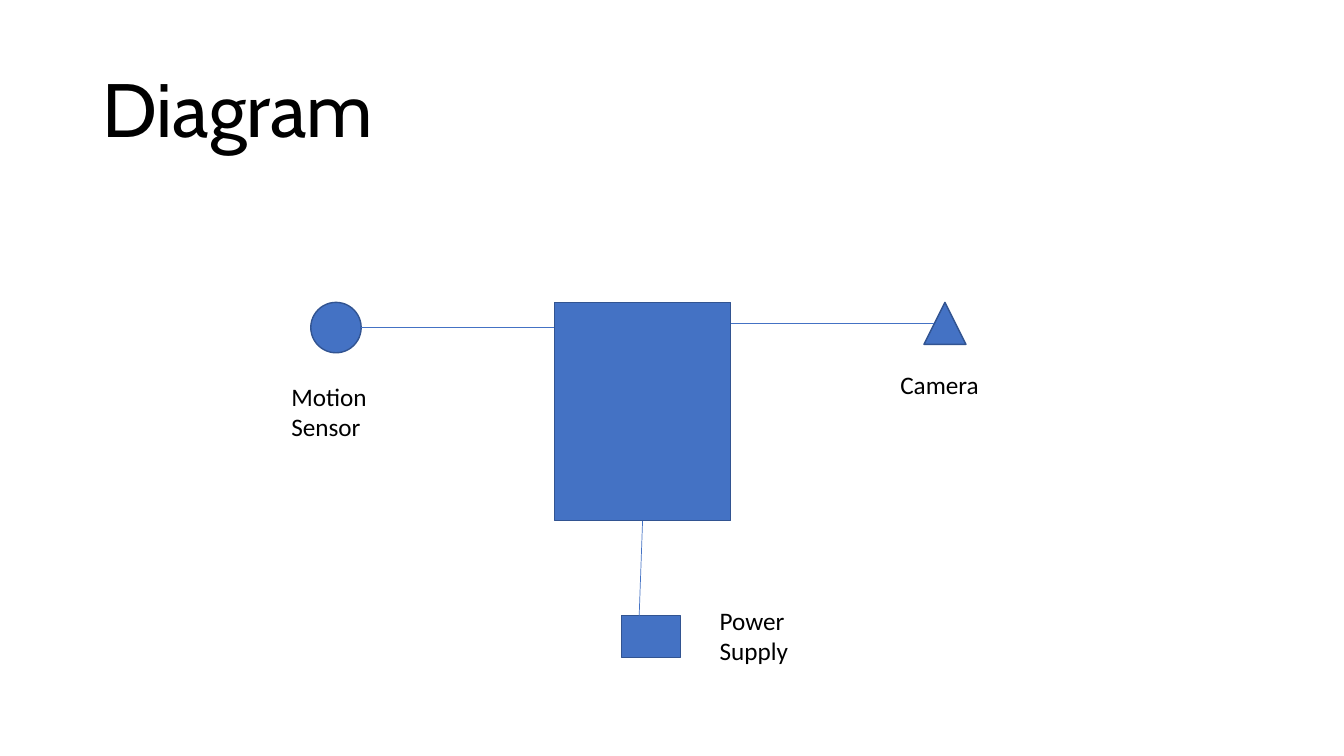
from dataclasses import dataclass
from lxml.etree import SubElement
from pptx import Presentation
from pptx.dml.color import RGBColor as RGB
from pptx.enum.shapes import MSO_CONNECTOR as Link, MSO_SHAPE as Kind
from pptx.enum.text import MSO_ANCHOR as Anchor, MSO_AUTO_SIZE as Fit, PP_ALIGN as Align
from pptx.oxml.ns import qn
from pptx.util import Inches, Pt


@dataclass(frozen=True)
class Theme:
    blue: RGB = RGB(0x44, 0x72, 0xC4)
    edge: RGB = RGB(0x32, 0x54, 0x91)
    ink: RGB = RGB(0, 0, 0)
    head: str = "Cabin"
    body: str = "Calibri"
    big: Pt = Pt(54)
    small: Pt = Pt(18)
    rim: Pt = Pt(1)
    thin: Pt = Pt(0.5)


COLS, ROWS = 160, 90
UNIT = Inches(1) // 12


def grid(*cells):
    return [round(cell * UNIT) for cell in cells]


def style(item, **values):
    for name, value in values.items():
        setattr(item, name, value)


class Board:
    def __init__(self, deck, theme):
        self.theme = theme
        self.slide = deck.slides.add_slide(deck.slide_layouts[5])
        self.shapes = self.slide.shapes

    def letter(self, frame, text, font, size):
        para = frame.paragraphs[0]
        para.text = text
        para.alignment = Align.LEFT
        style(para.runs[0].font, name=font, size=size)
        para.runs[0].font.color.rgb = self.theme.ink
        return para

    def title(self, text, *cells):
        box = self.shapes.title
        style(box, **dict(zip(("left", "top", "width", "height"), grid(*cells))))
        style(box.text_frame, vertical_anchor=Anchor.MIDDLE, auto_size=Fit.NONE)
        para = self.letter(box.text_frame, text, self.theme.head, self.theme.big)
        para.line_spacing = 0.9

    def node(self, kind, *cells):
        shape = self.shapes.add_shape(kind, *grid(*cells))
        shape.shadow.inherit = False
        shape.fill.solid()
        shape.fill.fore_color.rgb = self.theme.blue
        shape.line.color.rgb = self.theme.edge
        shape.line.width = self.theme.rim

    def wire(self, *cells):
        link = self.shapes.add_connector(Link.STRAIGHT, *grid(*cells))
        link.line.color.rgb = self.theme.blue
        link.line.width = self.theme.thin
        SubElement(link._element.spPr, qn("a:effectLst"))

    def label(self, text, *cells):
        frame = self.shapes.add_textbox(*grid(*cells)).text_frame
        style(frame, word_wrap=True, auto_size=Fit.SHAPE_TO_FIT_TEXT)
        self.letter(frame, text, self.theme.body, self.theme.small)


def main():
    deck = Presentation()
    style(deck, slide_width=COLS * UNIT, slide_height=ROWS * UNIT)
    board = Board(deck, Theme())
    board.title("Diagram", 11, 4.8, 138, 17.4)

    for node in (
        (Kind.RECTANGLE, 66, 36, 21, 26),
        (Kind.OVAL, 37, 36, 6, 6),
        (Kind.ISOSCELES_TRIANGLE, 110, 36, 5, 5),
        (Kind.RECTANGLE, 74, 73.3, 7, 5),
    ):
        board.node(*node)

    for wire in (
        (43, 39, 66, 39),
        (87, 38.5, 111.25, 38.5),
        (76.5, 62, 76, 76),
    ):
        board.wire(*wire)

    for label in (
        ("Motion Sensor", 33.5, 44.8, 13, 8.5),
        ("Camera", 106, 43.4, 13, 4.8),
        ("Power Supply", 84.5, 71.5, 13, 8.5),
    ):
        board.label(*label)

    deck.save("out.pptx")


if __name__ == "__main__":
    main()
